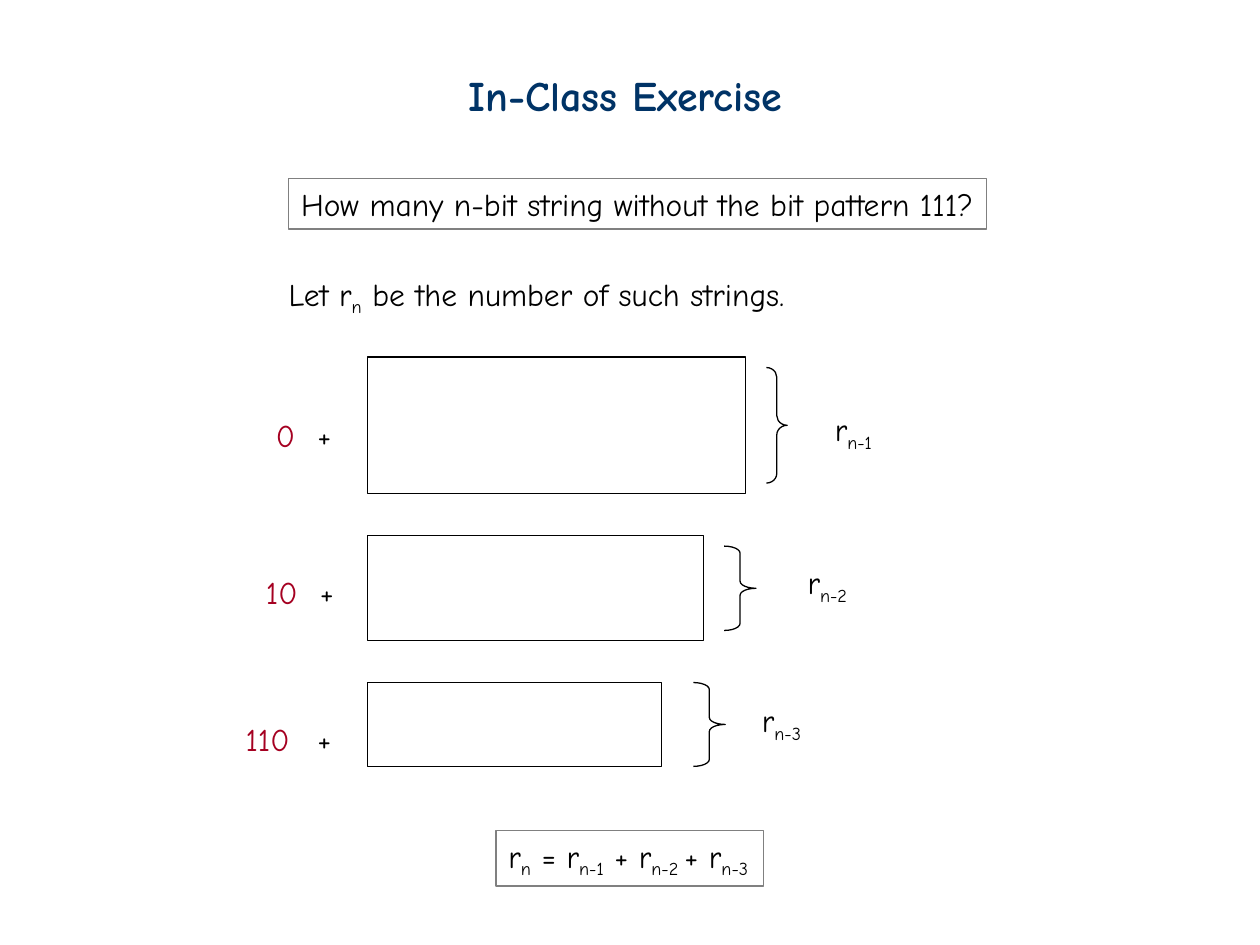
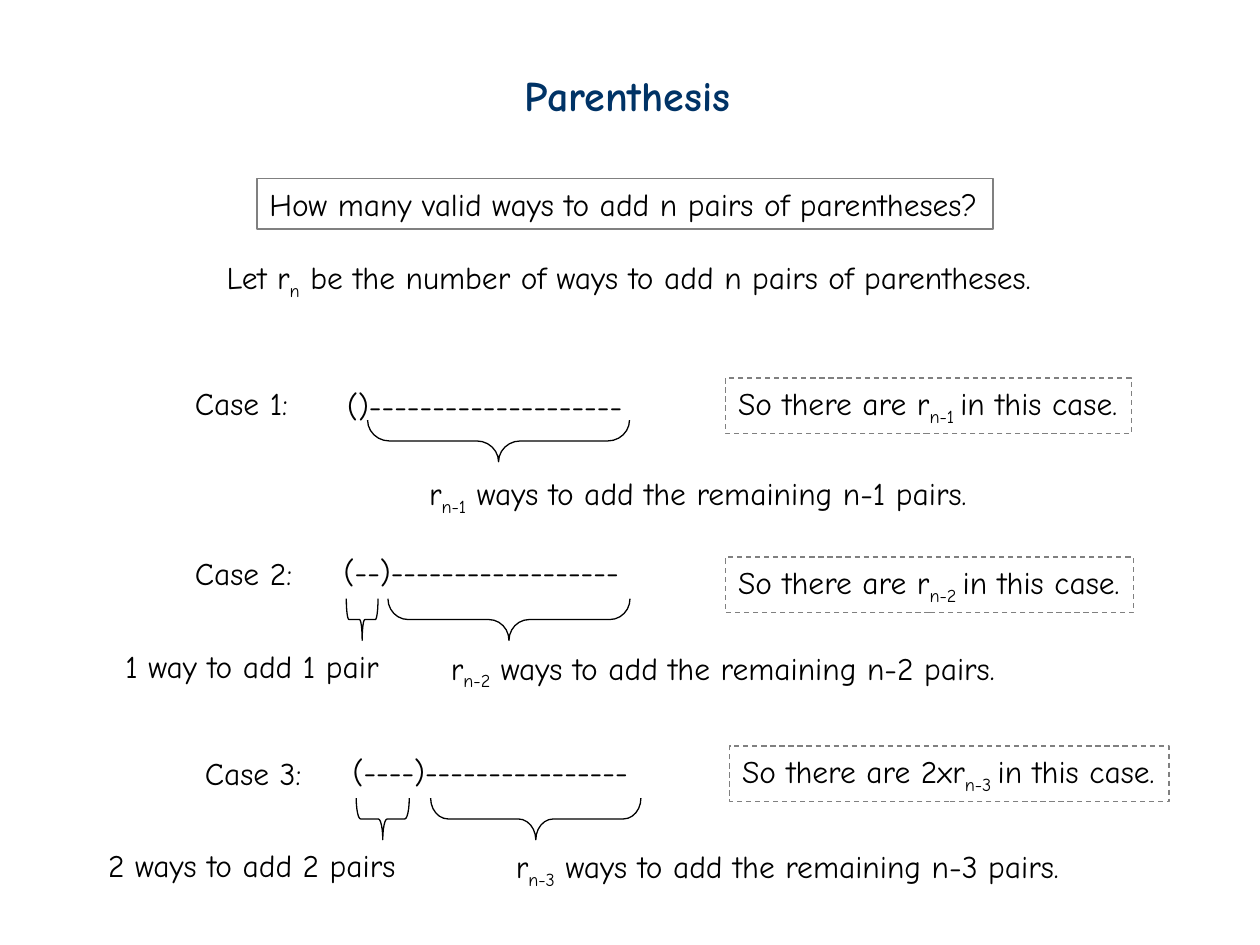
from pptx import Presentation
from pptx.dml.color import RGBColor
from pptx.enum import dml, shapes, text
from pptx.util import Cm, Pt

FONT = "Comic Neue"
NAVY = RGBColor(0x00, 0x33, 0x66)
BLACK = RGBColor(0x00, 0x00, 0x00)
CRIMSON = RGBColor(0xA5, 0x00, 0x21)
GREY = RGBColor(0x80, 0x80, 0x80)
TITLE_ONLY = 5
LINE_HEIGHT = 1.02
SUBSCRIPT_HEIGHT = 1.12
BRACE_DEPTH = 0.84


def write(shape, content, size=18, color=BLACK, bold=False,
          align=text.PP_ALIGN.LEFT):
    """Fill a shape with one line; parts in [brackets] become subscripts."""
    frame = shape.text_frame
    frame.word_wrap = False
    frame.auto_size = text.MSO_AUTO_SIZE.SHAPE_TO_FIT_TEXT
    frame.vertical_anchor = text.MSO_ANCHOR.TOP
    line = frame.paragraphs[0]
    line.alignment = align
    for index, part in enumerate(content.replace("]", "[").split("[")):
        if part:
            run = line.add_run()
            run.text = part
            if index % 2:
                run._r.get_or_add_rPr().set("baseline", "-25000")
    font = line.font
    font.name, font.size, font.bold = FONT, Pt(size), bold
    font.color.rgb = color


def height_of(content):
    return SUBSCRIPT_HEIGHT if "[" in content else LINE_HEIGHT


def add_label(slide, content, left, top, width, color=BLACK):
    label = slide.shapes.add_textbox(
        Cm(left), Cm(top), Cm(width), Cm(height_of(content)))
    write(label, content, color=color)


def add_outline(slide, kind, left, top, width, height, color=BLACK):
    outline = slide.shapes.add_shape(
        kind, Cm(left), Cm(top), Cm(width), Cm(height))
    outline.shadow.inherit = False
    outline.fill.background()
    outline.line.color.rgb = color
    outline.line.width = Pt(0.75)
    return outline


def add_framed(slide, content, left, top, width, dashed=False):
    frame = add_outline(slide, shapes.MSO_SHAPE.RECTANGLE, left, top, width,
                        height_of(content), GREY)
    if dashed:
        frame.line.dash_style = dml.MSO_LINE.DASH
    write(frame, content)


def add_brace(slide, left, top, depth, length):
    brace = add_outline(slide, shapes.MSO_SHAPE.RIGHT_BRACE,
                        left, top, depth, length)
    brace.adjustments[0] = length / 12 / min(depth, length)
    return brace


def add_brace_below(slide, left, top, length):
    """Brace opening upwards over a horizontal span."""
    shift = (length - BRACE_DEPTH) / 2
    add_brace(slide, left + shift, top - shift, BRACE_DEPTH,
              length).rotation = 90


def add_titled_slide(deck, title, left, width):
    slide = deck.slides.add_slide(deck.slide_layouts[TITLE_ONLY])
    heading = slide.shapes.title
    heading.left, heading.top = Cm(left), Cm(1.27)
    heading.width, heading.height = Cm(width), Cm(1.27)
    write(heading, title, 24, NAVY, True, text.PP_ALIGN.CENTER)
    return slide


def add_string_group(slide, left, top, width, height, prefix, prefix_box,
                     plus_left, prefix_drop, brace, count, count_box):
    """Prefix + block of strings, with a brace that gives their number."""
    prefix_left, prefix_width = prefix_box
    add_label(slide, prefix, left + prefix_left, top + prefix_drop,
              prefix_width, CRIMSON)
    add_label(slide, "+", left + plus_left, top + prefix_drop, 0.79)
    add_outline(slide, shapes.MSO_SHAPE.RECTANGLE, left, top, width, height)
    gap, inset, depth = brace
    add_brace(slide, left + width + gap, top + inset, depth,
              height - 2 * inset)
    count_left, count_drop = count_box
    add_label(slide, count, left + count_left, top + count_drop, 1.3)


def add_case(slide, left, top, number, pattern, pattern_at, rest_brace,
             rest_note, conclusion, conclusion_box, inner=None):
    """One case: pattern, braces with notes, and the resulting count."""
    add_label(slide, f"Case {number}:", left, top, 2.55)
    dx, dy = pattern_at
    add_label(slide, pattern, left + dx, top + dy, 6.05)
    dx, brace_drop, length = rest_brace
    add_brace_below(slide, left + dx, top + brace_drop, length)
    dx, note_drop, width = rest_note
    add_label(slide, f"r[n-{number}] ways to add the remaining "
              f"n-{number} pairs.", left + dx, top + note_drop, width)
    dx, dy, width = conclusion_box
    add_framed(slide, f"So there are {conclusion}[n-{number} ]in this case.",
               left + dx, top + dy, width, dashed=True)
    if inner:
        length, note, note_left, note_width = inner
        add_brace_below(slide, left + 3.3, top + brace_drop, length)
        add_label(slide, note, left + note_left, top + 1.87, note_width)


def build_exercise(deck):
    slide = add_titled_slide(deck, "In-Class Exercise", 9.17, 6.86)
    add_framed(slide, "How many n-bit string without the bit pattern 111?",
               5.82, 3.6, 14.07)
    add_label(slide, "Let r[n] be the number of such strings.",
              5.57, 5.41, 10.54)
    left = 7.41
    add_string_group(slide, left, 7.2, 7.62, 2.75, "0", (-2.1, 0.89), -1.26,
                     1.06, (0.42, 0.21, 0.42), "r[n-1]", (9.17, 0.94))
    add_string_group(slide, left, 10.8, 6.77, 2.12, "10", (-2.3, 1.14), -1.21,
                     0.63, (0.42, 0.21, 0.64), "r[n-2]", (8.62, 0.43))
    add_string_group(slide, left, 13.76, 5.93, 1.69, "110", (-2.71, 1.4),
                     -1.26, 0.64, (0.64, 0, 0.64), "r[n-3]", (7.7, 0.24))
    add_framed(slide, "r[n] = r[n-1] + r[n-2 ]+ r[n-3]", 10, 16.74, 5.4)


def build_parenthesis(deck):
    slide = add_titled_slide(deck, "Parenthesis", 10.31, 4.67)
    add_framed(slide, "How many valid ways to add n pairs of parentheses?",
               5.18, 3.6, 14.84)
    add_label(slide, "Let r[n] be the number of ways to add n pairs of "
              "parentheses.", 4.32, 5.08, 16.78)
    add_case(slide, 3.68, 7.62, 1, "()" + "-" * 20, (3.07, 0.04),
             (3.73, 0.85, 5.28), (4.72, 1.81, 11.4), "r", (10.95, 0, 8.18))
    add_case(slide, 3.68, 11.05, 2, "(--)" + "-" * 18, (3, -0.05),
             (4.14, 1.02, 4.88), (5.16, 1.9, 11.53), "r", (10.95, 0.18, 8.22),
             (0.64, "1 way to add 1 pair", -1.4, 5.66))
    add_case(slide, 3.88, 15.07, 3, "(----)" + "-" * 16, (2.98, -0.03),
             (4.8, 1.02, 4.24), (6.27, 1.88, 11.5), "2xr",
             (10.83, -0.03, 8.86),
             (1.07, "2 ways to add 2 pairs", -1.95, 6.34))


def main():
    deck = Presentation()
    deck.slide_width, deck.slide_height = Cm(25.4), Cm(19.05)
    build_exercise(deck)
    build_parenthesis(deck)
    deck.save("out.pptx")


if __name__ == "__main__":
    main()
